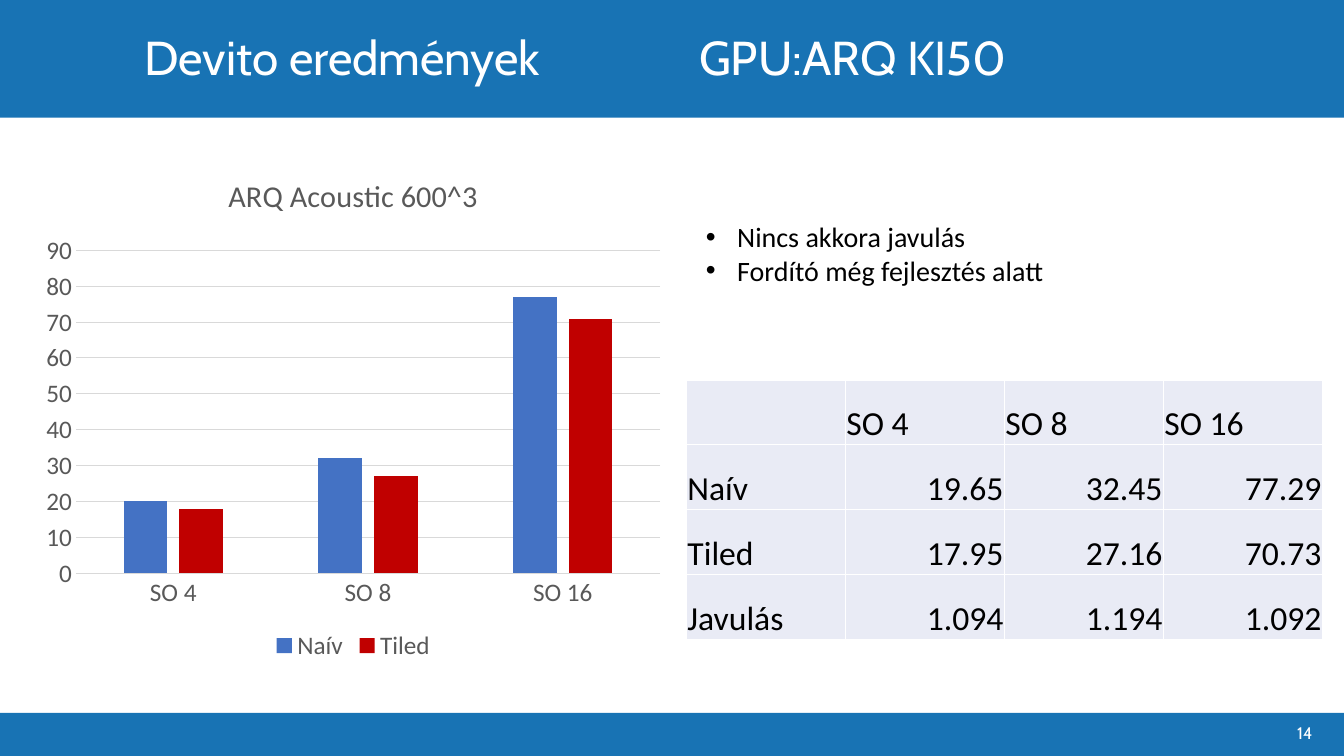
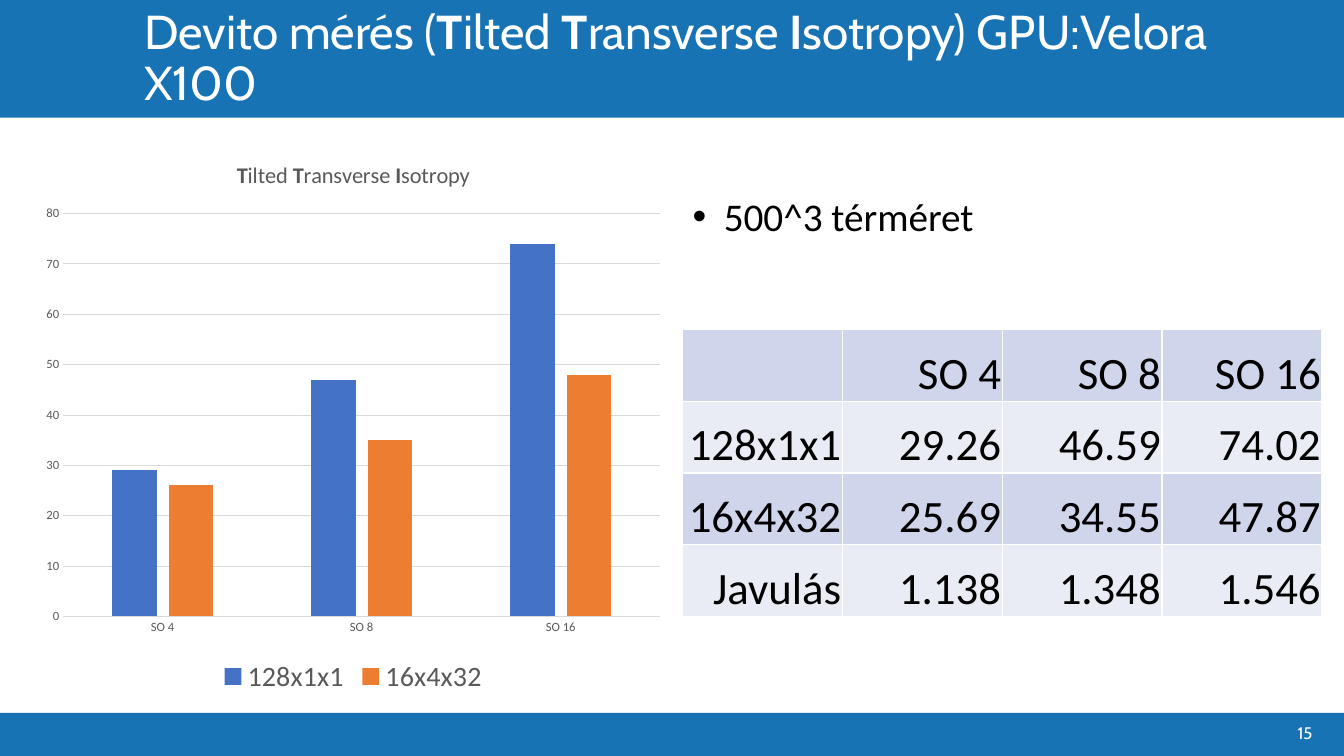
from dataclasses import dataclass
from typing import NamedTuple

from lxml import etree
from pptx import Presentation
from pptx.chart.data import CategoryChartData
from pptx.dml.color import RGBColor
from pptx.enum.chart import XL_CHART_TYPE, XL_LEGEND_POSITION, XL_TICK_MARK
from pptx.enum.shapes import MSO_SHAPE
from pptx.enum.text import MSO_ANCHOR, MSO_AUTO_SIZE, PP_ALIGN
from pptx.oxml.ns import qn
from pptx.util import Emu, Inches, Pt

COLUMNS, ROWS = 40, 22.5
WIDTH, HEIGHT = Inches(13.33), Inches(7.5)

BAND_BLUE = RGBColor(0x18, 0x73, 0xB4)
WHITE = RGBColor(0xFF, 0xFF, 0xFF)
BLACK = RGBColor(0x00, 0x00, 0x00)
GREY = RGBColor(0x59, 0x59, 0x59)
LINE_GREY = RGBColor(0xD9, 0xD9, 0xD9)
BAR_BLUE = RGBColor(0x44, 0x72, 0xC4)
BAR_RED = RGBColor(0xC0, 0x00, 0x00)
BAR_ORANGE = RGBColor(0xED, 0x7D, 0x31)
PALE = RGBColor(0xE9, 0xEB, 0xF5)
PALE_DARK = RGBColor(0xCF, 0xD5, 0xEA)

HEADING_FONT, BODY_FONT = "Cabin", "Calibri"
CLUSTERED = XL_CHART_TYPE.COLUMN_CLUSTERED
LEGEND_BOTTOM = XL_LEGEND_POSITION.BOTTOM
RECTANGLE = MSO_SHAPE.RECTANGLE
LEFT, RIGHT = PP_ALIGN.LEFT, PP_ALIGN.RIGHT
MIDDLE, BOTTOM = MSO_ANCHOR.MIDDLE, MSO_ANCHOR.BOTTOM
NO_FIT = MSO_AUTO_SIZE.NONE
NO_TICK = XL_TICK_MARK.NONE


class Box(NamedTuple):
    """Left, top, width and height in grid columns and rows."""
    col: float
    row: float
    cols: float
    rows: float

    def emu(self) -> tuple[Emu, Emu, Emu, Emu]:
        dx, dy = WIDTH / COLUMNS, HEIGHT / ROWS
        return (Emu(round(self.col * dx)), Emu(round(self.row * dy)),
                Emu(round(self.cols * dx)), Emu(round(self.rows * dy)))


BANDS = (Box(0, 0, COLUMNS, 3.5), Box(0, 21.22, COLUMNS, 1.28))
TITLE_BOX = Box(4, 0.85, 35.37, 1.85)
NUMBER_BOX = Box(34.15, 21.2, 5.21, 1.2)
TITLE_TAB = Inches(5.5)


@dataclass
class ChartStyle:
    box: Box
    title: str
    title_size: float
    axis_size: float
    legend_size: float
    maximum: float
    colors: tuple[RGBColor, RGBColor]


@dataclass
class TableStyle:
    box: Box
    size: float
    label_align: PP_ALIGN
    fills: tuple[RGBColor, RGBColor]


@dataclass
class ResultPage:
    """Measured results; in title texts, *stars* enclose bold letters."""
    number: int
    title: str
    bullets: tuple[str, ...]
    bullet_box: Box
    bullet_size: float
    results: dict[str, tuple[float, float, float]]
    gains: tuple[str, str, str]
    chart: ChartStyle
    table: TableStyle


CATEGORIES = ("SO 4", "SO 8", "SO 16")
PAGES = (
    ResultPage(
        number=14,
        title="Devito eredmények\tGPU:ARQ KI50",
        bullets=("Nincs akkora javulás", "Fordító még fejlesztés alatt"),
        bullet_box=Box(20.71, 6.39, 18.63, 2.31),
        bullet_size=20,
        results={"Naív": (19.65, 32.45, 77.29), "Tiled": (17.95, 27.16, 70.73)},
        gains=("1.094", "1.194", "1.092"),
        chart=ChartStyle(Box(1, 4.56, 19.03, 15.26), "ARQ Acoustic 600^3",
                         21.6, 18, 18, 90, (BAR_BLUE, BAR_RED)),
        table=TableStyle(Box(20.43, 11.31, 18.93, 7.72), 24, LEFT, (PALE, PALE)),
    ),
    ResultPage(
        number=15,
        title="Devito mérés (*T*ilted *T*ransverse *I*sotropy) GPU:Velora X100",
        bullets=("500^3 térméret",),
        bullet_box=Box(20.31, 5.57, 17.76, 1.71),
        bullet_size=28,
        results={"128x1x1": (29.26, 46.59, 74.02), "16x4x32": (25.69, 34.55, 47.87)},
        gains=("1.138", "1.348", "1.546"),
        chart=ChartStyle(Box(1, 4.2, 19.03, 16.62), "*T*ilted *T*ransverse *I*sotropy",
                         16, 9, 20, 80, (BAR_BLUE, BAR_ORANGE)),
        table=TableStyle(Box(20.31, 9.81, 19.03, 8.54), 32, RIGHT, (PALE_DARK, PALE)),
    ),
)


def place(shape, box: Box) -> None:
    shape.left, shape.top, shape.width, shape.height = box.emu()


def set_font(font, name: str, size: float, color: RGBColor) -> None:
    font.name, font.size = name, Pt(size)
    font.color.rgb = color


def add_starred_runs(p, text: str) -> None:
    for i, part in enumerate(text.split("*")):
        r = p.add_run()
        r.text = part
        r.font.bold = i % 2 == 1


def add_bands(s, layout) -> None:
    """Draw the bands on s, then move them behind the layout's placeholders."""
    for i, box in enumerate(BANDS):
        band = s.shapes.add_shape(RECTANGLE, *box.emu())
        band.shadow.inherit = False
        band.fill.solid()
        band.fill.fore_color.rgb = BAND_BLUE
        band.line.fill.background()
        band.element.nvSpPr.cNvPr.set("id", str(100 + i))
        layout.shapes.element.insert(2 + i, band.element)


def add_title(s, text: str) -> None:
    tf = s.shapes.title.text_frame
    tf.auto_size, tf.vertical_anchor = NO_FIT, MIDDLE
    p = tf.paragraphs[0]
    p.alignment, p.line_spacing = LEFT, 0.9
    add_starred_runs(p, text)
    if "\t" in text:
        tabs = etree.SubElement(p._p.get_or_add_pPr(), qn("a:tabLst"))
        etree.SubElement(tabs, qn("a:tab"), pos=str(TITLE_TAB), algn="l")
    set_font(p.font, HEADING_FONT, 34, WHITE)


def add_bullets(s, page: ResultPage) -> None:
    body = s.placeholders[1]
    place(body, page.bullet_box)
    tf = body.text_frame
    tf.text = "\n".join(page.bullets)
    tf.auto_size = NO_FIT
    for p in tf.paragraphs:
        p.space_before = Pt(0)
        pPr = p._p.get_or_add_pPr()
        pPr.set("marL", str(Inches(0.31)))
        pPr.set("indent", str(Inches(-0.31)))
        set_font(p.font, BODY_FONT, page.bullet_size, BLACK)


def add_number(s, number: int) -> None:
    tf = s.shapes.add_textbox(*NUMBER_BOX.emu()).text_frame
    tf.word_wrap, tf.vertical_anchor = True, MIDDLE
    p = tf.paragraphs[0]
    p.text = str(number)
    p.alignment, p.space_after = RIGHT, Pt(6)
    set_font(p.font, HEADING_FONT, 12, WHITE)


def add_results_chart(s, page: ResultPage) -> None:
    style = page.chart
    data = CategoryChartData()
    data.categories = CATEGORIES
    for name, values in page.results.items():
        data.add_series(name, [round(v) for v in values])
    chart = s.shapes.add_chart(CLUSTERED, *style.box.emu(), data).chart
    set_font(chart.font, BODY_FONT, style.axis_size, GREY)

    p = chart.chart_title.text_frame.paragraphs[0]
    add_starred_runs(p, style.title)
    set_font(p.font, BODY_FONT, style.title_size, GREY)
    p.font.bold = False

    chart.has_legend = True
    chart.legend.position = LEGEND_BOTTOM
    chart.legend.include_in_layout = False
    set_font(chart.legend.font, BODY_FONT, style.legend_size, GREY)

    values_axis = chart.value_axis
    values_axis.minimum_scale, values_axis.maximum_scale = 0, style.maximum
    values_axis.major_unit = 10
    for axis in (chart.category_axis, values_axis):
        axis.major_tick_mark = axis.minor_tick_mark = NO_TICK
        set_font(axis.tick_labels.font, BODY_FONT, style.axis_size, GREY)
    values_axis.format.line.fill.background()
    for line in (chart.category_axis.format.line, values_axis.major_gridlines.format.line):
        line.color.rgb, line.width = LINE_GREY, Pt(0.75)

    plot = chart.plots[0]
    plot.gap_width, plot.overlap, plot.vary_by_categories = 219, -27, False
    for series, color in zip(plot.series, style.colors):
        series.format.fill.solid()
        series.format.fill.fore_color.rgb = color


def add_cell_borders(cell) -> None:
    for side in ("lnL", "lnR", "lnT", "lnB"):
        ln = etree.SubElement(cell._tc.get_or_add_tcPr(), qn(f"a:{side}"), w=str(Pt(1)))
        fill = etree.SubElement(ln, qn("a:solidFill"))
        etree.SubElement(fill, qn("a:srgbClr"), val=str(WHITE))


def add_results_table(s, page: ResultPage) -> None:
    style = page.table
    rows = [("", *CATEGORIES)]
    rows += [(name, *(f"{v:.2f}" for v in values)) for name, values in page.results.items()]
    rows.append(("Javulás", *page.gains))
    table = s.shapes.add_table(len(rows), len(rows[0]), *style.box.emu()).table
    table.first_row = table.horz_banding = False
    for i, row in enumerate(rows):
        for j, text in enumerate(row):
            cell = table.cell(i, j)
            cell.margin_left = cell.margin_right = cell.margin_top = Inches(0.01)
            cell.margin_bottom = 0
            cell.vertical_anchor = BOTTOM
            add_cell_borders(cell)
            cell.fill.solid()
            cell.fill.fore_color.rgb = style.fills[i % 2]
            p = cell.text_frame.paragraphs[0]
            p.text = text
            p.alignment = RIGHT if i and j else style.label_align
            set_font(p.font, BODY_FONT, style.size, BLACK)


def main() -> None:
    prs = Presentation()
    prs.slide_width, prs.slide_height = WIDTH, HEIGHT
    layout = prs.slide_layouts[1]
    place(layout.placeholders[0], TITLE_BOX)
    for page in PAGES:
        s = prs.slides.add_slide(layout)
        add_title(s, page.title)
        add_bullets(s, page)
        add_results_chart(s, page)
        add_results_table(s, page)
        add_number(s, page.number)
    add_bands(prs.slides[0], layout)
    prs.save("out.pptx")


if __name__ == "__main__":
    main()
